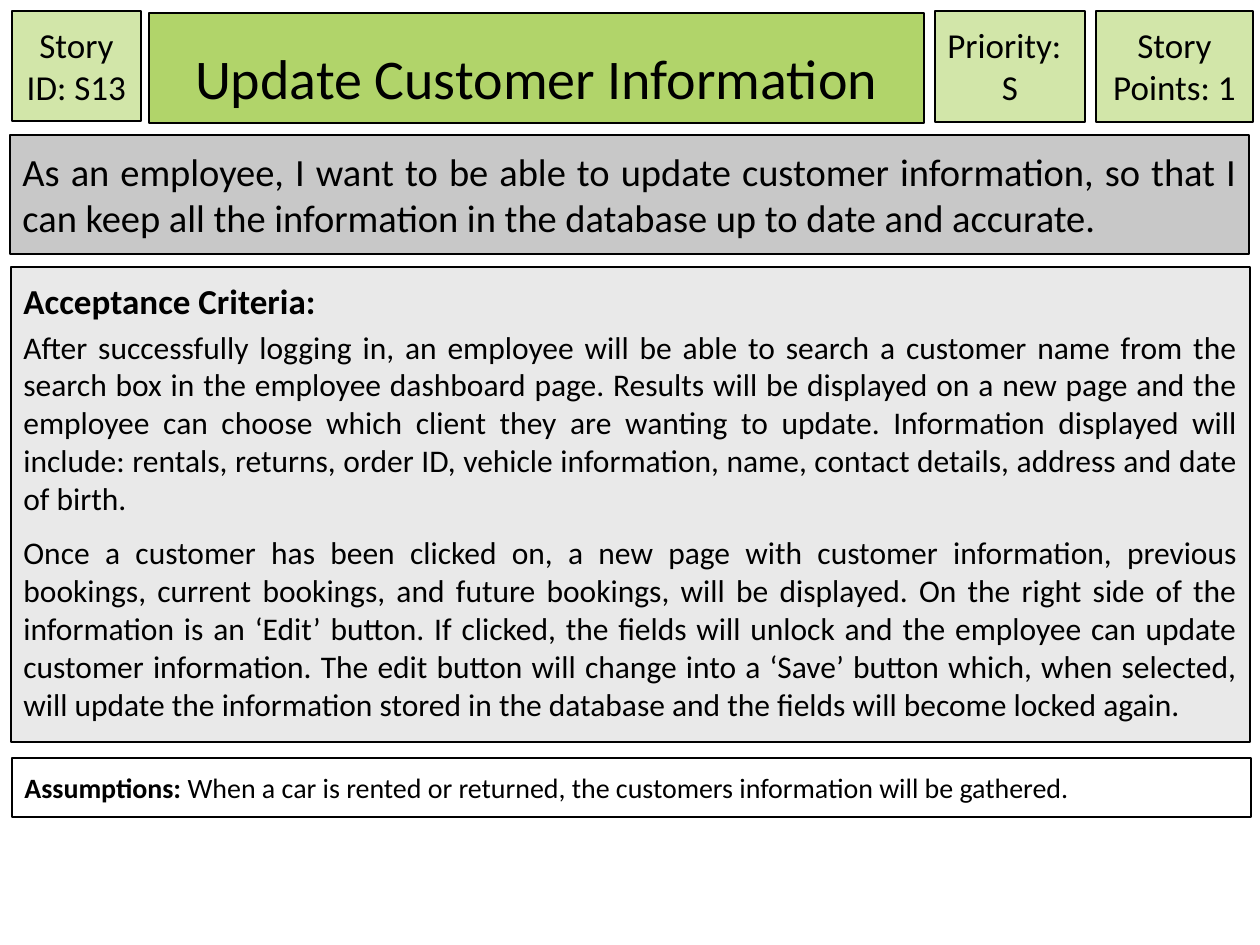
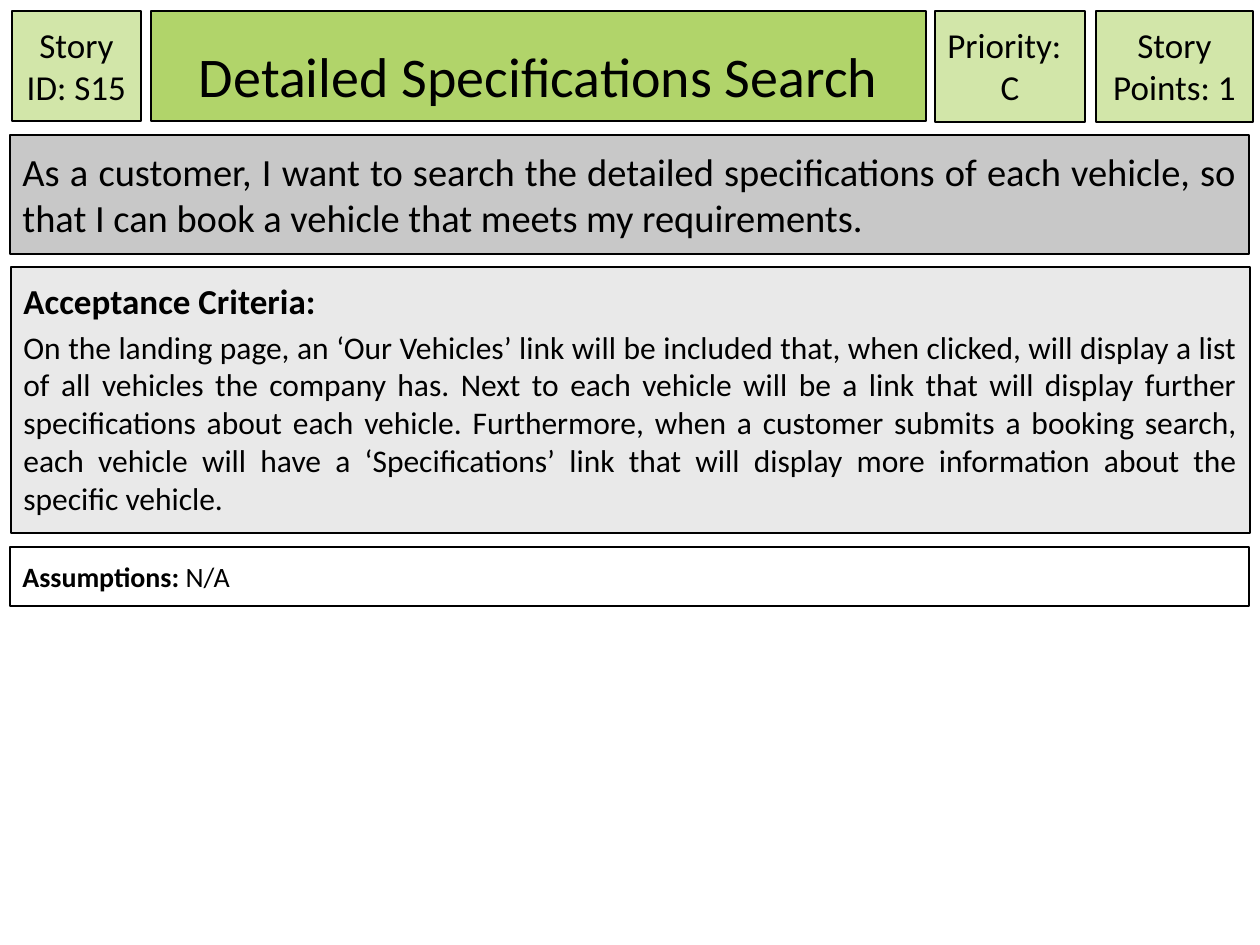
from dataclasses import dataclass
from typing import NamedTuple

from pptx import Presentation
from pptx.dml.color import RGBColor
from pptx.enum.shapes import MSO_SHAPE
from pptx.enum.text import MSO_ANCHOR, MSO_AUTO_SIZE, PP_ALIGN
from pptx.util import Emu, Pt

RECTANGLE = MSO_SHAPE.RECTANGLE
TOP, BOTTOM = MSO_ANCHOR.TOP, MSO_ANCHOR.BOTTOM
LEFT, CENTER, JUSTIFY = PP_ALIGN.LEFT, PP_ALIGN.CENTER, PP_ALIGN.JUSTIFY
GROW = MSO_AUTO_SIZE.SHAPE_TO_FIT_TEXT
BLANK_LAYOUT = 6
SCALE = 914400 / 126


@dataclass(frozen=True)
class Theme:
    """Colours, type sizes and line widths shared by every story card."""
    font: str = "Calibri"
    ink: str = "000000"
    title_fill: str = "B1D46A"
    tag_fill: str = "D2E6A9"
    story_fill: str = "C8C8C8"
    criteria_fill: str = "E9E9E9"
    assumption_fill: str = "FFFFFF"
    title_size: int = 32
    story_size: int = 22
    heading_size: int = 20
    criteria_size: int = 18
    assumption_size: int = 16
    thin: float = 0.75
    thick: float = 1.5


class Box(NamedTuple):
    """A rectangle in px."""
    x: int
    y: int
    w: int
    h: int


@dataclass(frozen=True)
class Story:
    """The content of one story card and the places that vary with it."""
    number: str
    title: str
    priority: str
    points: int
    statement: str
    criteria: tuple
    assumption: str
    title_at: tuple
    criteria_height: int
    assumption_at: tuple


THEME = Theme()
SLIDE = Box(0, 0, 1260, 945)
HEADER = Box(12, 11, 1241, 111)
STATEMENT = Box(10, 135, 1239, 119)
CRITERIA_TOP = 267
INSET = 12.6

STORIES = (
    Story(
        number="S13", title="Update Customer Information", priority="S", points=1,
        statement="As an employee, I want to be able to update customer information, "
                  "so that I can keep all the information in the database up to date "
                  "and accurate.",
        criteria=(
            "After successfully logging in, an employee will be able to search a "
            "customer name from the search box in the employee dashboard page. Results "
            "will be displayed on a new page and the employee can choose which client "
            "they are wanting to update. Information displayed will include: rentals, "
            "returns, order ID, vehicle information, name, contact details, address and "
            "date of birth.",
            "Once a customer has been clicked on, a new page with customer information, "
            "previous bookings, current bookings, and future bookings, will be "
            "displayed. On the right side of the information is an ‘Edit’ button. If "
            "clicked, the fields will unlock and the employee can update customer "
            "information. The edit button will change into a ‘Save’ button which, when "
            "selected, will update the information stored in the database and the "
            "fields will become locked again.",
        ),
        assumption="When a car is rented or returned, the customers information will be "
                   "gathered.",
        title_at=(137, 2), criteria_height=475, assumption_at=(12, 758),
    ),
    Story(
        number="S15", title="Detailed Specifications Search", priority="C", points=1,
        statement="As a customer, I want to search the detailed specifications of each "
                  "vehicle, so that I can book a vehicle that meets my requirements.",
        criteria=(
            "On the landing page, an ‘Our Vehicles’ link will be included that, when "
            "clicked, will display a list of all vehicles the company has. Next to each "
            "vehicle will be a link that will display further specifications about each "
            "vehicle. Furthermore, when a customer submits a booking search, each "
            "vehicle will have a ‘Specifications’ link that will display more "
            "information about the specific vehicle.",
        ),
        assumption="N/A",
        title_at=(139, 0), criteria_height=266, assumption_at=(10, 547),
    ),
)


def px(length):
    """Turn px into EMU."""
    return Emu(round(length * SCALE))


def apply(target, formats):
    """Set every attribute named in a dict of format values."""
    for name, value in formats.items():
        setattr(target, name, value)


def add_panel(slide, box, fill, line_width=THEME.thin, anchor=TOP):
    """Draw an outlined rectangle and return its text frame."""
    panel = slide.shapes.add_shape(RECTANGLE, *map(px, box))
    panel.shadow.inherit = False
    panel.fill.solid()
    panel.fill.fore_color.rgb = RGBColor.from_string(fill)
    panel.line.color.rgb = RGBColor.from_string(THEME.ink)
    panel.line.width = Pt(line_width)
    frame = panel.text_frame
    apply(frame, {
        "word_wrap": True, "auto_size": GROW, "vertical_anchor": anchor,
        **{f"margin_{side}": px(INSET) for side in ("left", "top", "right", "bottom")},
    })
    return frame


def write(frame, runs, size, align, before=0, after=0):
    """Write one paragraph from (text, bold) runs."""
    first = frame.paragraphs[0]
    paragraph = frame.add_paragraph() if first.runs else first
    apply(paragraph, {"alignment": align, "space_before": Pt(before),
                      "space_after": Pt(after)})
    for text, bold in runs:
        run = paragraph.add_run()
        run.text = text
        apply(run.font, {"name": THEME.font, "size": Pt(size), "bold": bold})
        run.font.color.rgb = RGBColor.from_string(THEME.ink)


def add_header(slide, box, story):
    """Place the title and the three tags inside the header box."""
    tags = (
        (0, 129, 110, ((f"Story ID: {story.number}", CENTER),)),
        (923, 150, 111, (("Priority:", LEFT), (story.priority, CENTER))),
        (1084, 157, 111, ((f"Story Points: {story.points}", CENTER),)),
    )
    for offset, width, height, lines in tags:
        tag = add_panel(slide, Box(box.x + offset, box.y, width, height),
                        THEME.tag_fill)
        for text, align in lines:
            write(tag, [(text, False)], THEME.heading_size, align)
    dx, dy = story.title_at
    title = add_panel(slide, Box(box.x + dx, box.y + dy, 775, 110),
                      THEME.title_fill, THEME.thick, BOTTOM)
    write(title, [(story.title, False)], THEME.title_size, CENTER)


def add_statement(slide, box, story):
    """Place the user story sentence."""
    frame = add_panel(slide, box, THEME.story_fill)
    write(frame, [(story.statement, False)], THEME.story_size, JUSTIFY, before=6)


def add_criteria(slide, box, story):
    """Place the acceptance criteria under their heading."""
    frame = add_panel(slide, box, THEME.criteria_fill)
    write(frame, [("Acceptance Criteria:", True)], THEME.heading_size, LEFT, before=6)
    for criterion in story.criteria:
        write(frame, [(criterion, False)], THEME.criteria_size, JUSTIFY,
              before=3.5, after=6)


def add_assumption(slide, box, story):
    """Place the assumptions line."""
    frame = add_panel(slide, box, THEME.assumption_fill)
    write(frame, [("Assumptions: ", True), (story.assumption, False)],
          THEME.assumption_size, JUSTIFY, before=6)


def add_story_card(presentation, story):
    """Build the slide of one story."""
    slide = presentation.slides.add_slide(presentation.slide_layouts[BLANK_LAYOUT])
    add_statement(slide, STATEMENT, story)
    add_header(slide, HEADER, story)
    add_criteria(slide, Box(11, CRITERIA_TOP, STATEMENT.w, story.criteria_height), story)
    add_assumption(slide, Box(*story.assumption_at, STATEMENT.w, 59), story)


def main():
    """Build and save the story cards."""
    presentation = Presentation()
    apply(presentation, {"slide_width": px(SLIDE.w), "slide_height": px(SLIDE.h)})
    for story in STORIES:
        add_story_card(presentation, story)
    presentation.save("out.pptx")


if __name__ == "__main__":
    main()
